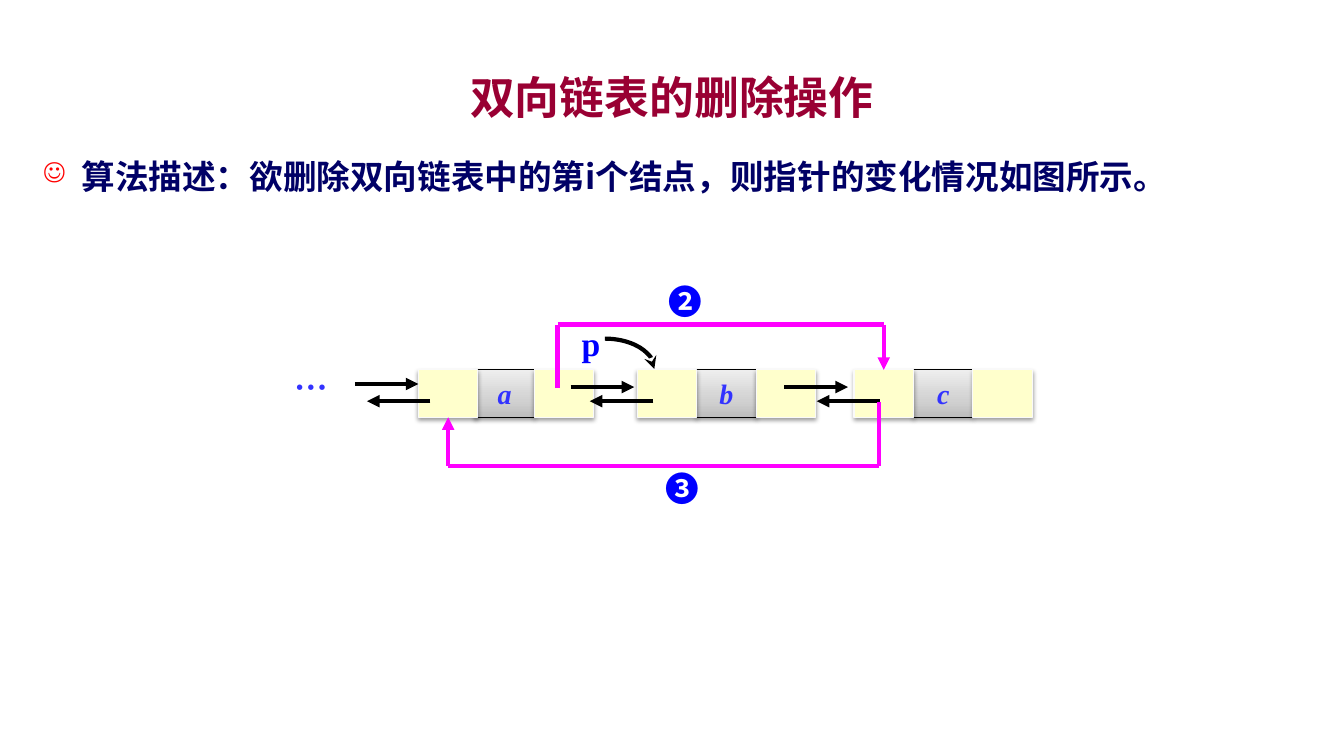
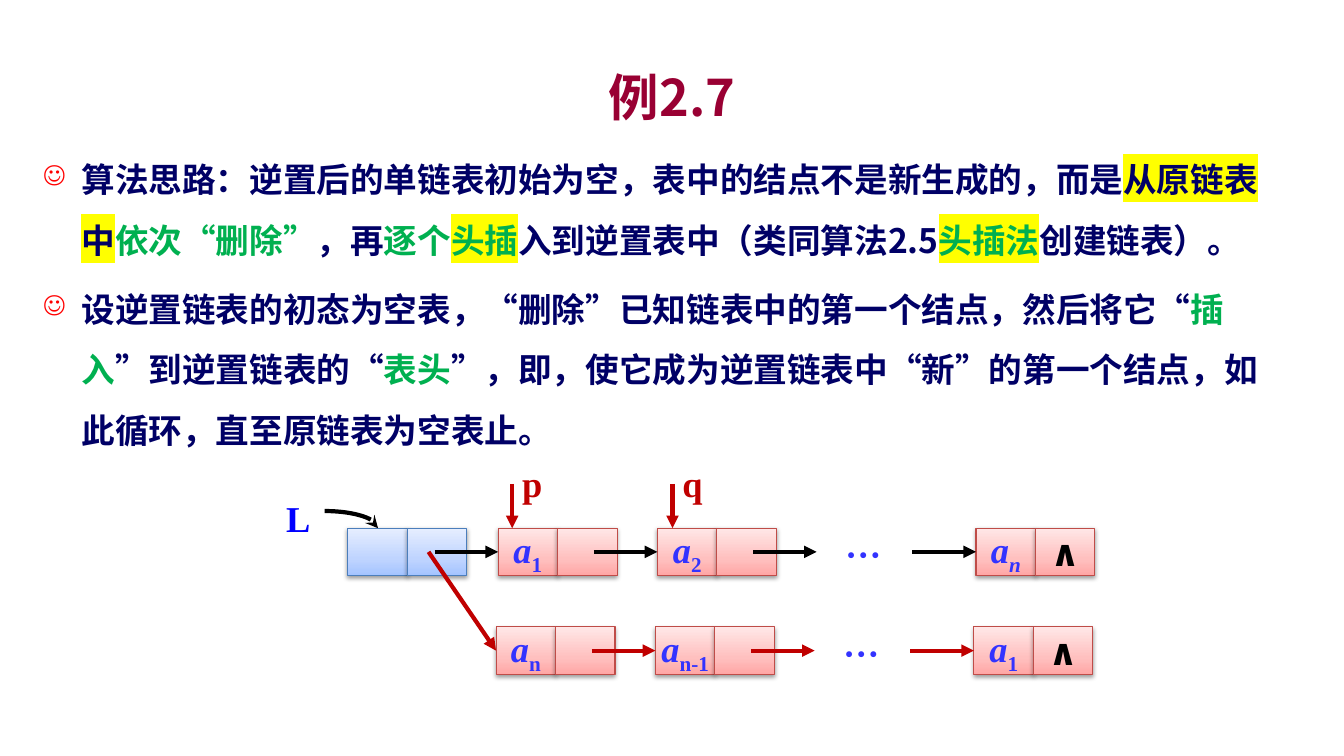
from copy import deepcopy
from lxml.etree import SubElement
from pptx import Presentation
from pptx.dml.color import RGBColor
from pptx.enum.lang import MSO_LANGUAGE_ID
from pptx.enum.shapes import MSO_CONNECTOR, MSO_SHAPE
from pptx.enum.text import MSO_ANCHOR, PP_ALIGN
from pptx.oxml.ns import qn
from pptx.util import Inches, Pt

# Colours
BLACK = RGBColor(0x00, 0x00, 0x00)
WINE = RGBColor(0x99, 0x00, 0x33)
NAVY = RGBColor(0x00, 0x00, 0x66)
BLUE = RGBColor(0x00, 0x00, 0xFF)
IRIS = RGBColor(0x33, 0x33, 0xFF)
RED = RGBColor(0xFF, 0x00, 0x00)
BRICK = RGBColor(0xC0, 0x00, 0x00)
GREEN = RGBColor(0x00, 0xB0, 0x50)
PINK = RGBColor(0xFF, 0x00, 0xFF)
YELLOW = RGBColor(0xFF, 0xFF, 0x00)

# Cell styles: outline, then fill stops from bottom to top
STOPS = (0, 0.35, 1)
CREAM = (RGBColor(0xF9, 0xF9, 0xF9), [RGBColor(0xFF, 0xFF, 0xCC)])
GRAY = (BLACK, [RGBColor(0xBD, 0xBD, 0xBD), RGBColor(0xD1, 0xD1, 0xD1),
                RGBColor(0xEE, 0xEE, 0xEE)])
SKY = (RGBColor(0x4B, 0x7E, 0xBC),
       [RGBColor(0xA4, 0xC4, 0xFF), RGBColor(0xBF, 0xD4, 0xFF),
        RGBColor(0xE6, 0xEE, 0xFF)])
ROSE = (RGBColor(0xBF, 0x4C, 0x48),
        [RGBColor(0xFF, 0xA6, 0xA5), RGBColor(0xFF, 0xC0, 0xBF),
         RGBColor(0xFF, 0xE7, 0xE7)])

# Fonts and measures in inches
HAN = "Noto Sans CJK SC"
SERIF = "Times New Roman"
SANS = "Calibri"
CELL_W, CELL_H = 0.59, 0.47
PITCH = 1.58
REACH = 0.63


def box(left, top, width, height):
    return [Inches(v) for v in (left, top, width, height)]


def write(para, text, size=24, color=NAVY, font=HAN, italic=False,
          base=None, mark=None):
    """Add one bold run to a paragraph."""
    run = para.add_run()
    run.text = text
    face = run.font
    face.size, face.bold, face.italic = Pt(size), True, italic
    face.color.rgb = color
    face.name = font
    if font == HAN:
        face.language_id = MSO_LANGUAGE_ID.SIMPLIFIED_CHINESE
    props = run._r.get_or_add_rPr()
    if base:
        props.set("baseline", str(base * 1000))
    latin = props.find(qn("a:latin"))
    east = deepcopy(latin)
    east.tag = qn("a:ea")
    latin.addnext(east)
    if mark:
        light = props.makeelement(qn("a:highlight"), {})
        SubElement(light, qn("a:srgbClr"), val=str(mark))
        props.find(qn("a:solidFill")).addnext(light)


def title(slide, text, size):
    shape = slide.shapes.title
    shape.left, shape.top, shape.width, shape.height = box(1, 0.58, 11.33, 0.75)
    frame = shape.text_frame
    frame.vertical_anchor = MSO_ANCHOR.MIDDLE
    para = frame.paragraphs[0]
    para.alignment = PP_ALIGN.CENTER
    write(para, text, size=size, color=WINE)


def bullet(para):
    props = para._p.get_or_add_pPr()
    props.set("marL", str(Inches(0.38)))
    props.set("indent", str(-Inches(0.38)))
    tint = SubElement(props, qn("a:buClr"))
    SubElement(tint, qn("a:srgbClr"), val=str(RED))
    SubElement(props, qn("a:buSzPct"), val="80000")
    SubElement(props, qn("a:buChar"), char="☺")


def body(slide, area, paras, space=1.0):
    """Bulleted text; each paragraph is a list of (text, format) runs."""
    frame = slide.shapes.add_textbox(*box(*area)).text_frame
    frame.word_wrap = True
    for num, runs in enumerate(paras):
        para = frame.add_paragraph() if num else frame.paragraphs[0]
        para.line_spacing = space
        para.space_before = Pt(6)
        bullet(para)
        for text, style in runs:
            write(para, text, **style)


def label(slide, text, left, top, width=0.47, align=PP_ALIGN.LEFT, **style):
    frame = slide.shapes.add_textbox(*box(left, top, width, 0.5)).text_frame
    frame.word_wrap = True
    para = frame.paragraphs[0]
    para.alignment = align
    write(para, text, **style)


def dots(slide, left, top, size):
    label(slide, "…", left, top, width=0.63, align=PP_ALIGN.CENTER,
          size=size, color=IRIS)


def shade(shape):
    """Soft shadow straight below the shape."""
    shape.shadow.inherit = False
    glow = SubElement(shape._element.spPr.find(qn("a:effectLst")),
                      qn("a:outerShdw"), blurRad="40000", dist="20000",
                      dir="5400000", rotWithShape="0")
    tint = SubElement(glow, qn("a:srgbClr"), val=str(BLACK))
    SubElement(tint, qn("a:alpha"), val="38000")


def cell(slide, left, top, style):
    shape = slide.shapes.add_shape(MSO_SHAPE.RECTANGLE,
                                   *box(left, top, CELL_W, CELL_H))
    edge, tones = style
    fill = shape.fill
    if len(tones) == 1:
        fill.solid()
        fill.fore_color.rgb = tones[0]
    else:
        fill.gradient()
        fill.gradient_angle = 90
        first = shape._element.spPr.find(".//" + qn("a:gs"))
        first.addnext(deepcopy(first))
        for stop, spot, tone in zip(fill.gradient_stops, STOPS, tones):
            stop.position = spot
            stop.color.rgb = tone
    shape.line.color.rgb = edge
    shape.line.width = Pt(0.75)
    shade(shape)
    frame = shape.text_frame
    frame.word_wrap = False
    frame.vertical_anchor = MSO_ANCHOR.MIDDLE
    frame.paragraphs[0].alignment = PP_ALIGN.CENTER
    return shape


def fill_in(shape, text, **style):
    write(shape.text_frame.paragraphs[0], text, **style)


def stroke(shape, color, tip=None):
    shape.line.color.rgb = color
    shape.line.width = Pt(3)
    if tip:
        SubElement(shape.line._get_or_add_ln(), qn("a:tailEnd"), type=tip)


def line(slide, start, end, color=BLACK, tip="triangle", goal=None, side=1):
    """Straight line, joined to a side of the goal when there is one."""
    link = slide.shapes.add_connector(MSO_CONNECTOR.STRAIGHT,
                                      *[Inches(v) for v in start + end])
    if goal is not None:
        link.end_connect(goal, side)
    stroke(link, color, tip)
    SubElement(link._element.spPr, qn("a:effectLst"))


def route(slide, spots, goal, side):
    """Right-angled path whose last leg is an arrow to the goal."""
    legs = list(zip(spots, spots[1:]))
    for start, end in legs[:-1]:
        line(slide, start, end, PINK, tip=None)
    line(slide, *legs[-1], PINK, goal=goal, side=side)


def curve(slide, left, top, width, height):
    """Quarter arc that bends right and down to an arrowhead."""
    arc = slide.shapes.add_shape(
        MSO_SHAPE.ARC, *box(left - width, top, 2 * width, 2 * height))
    arc.shadow.inherit = False
    arc.fill.background()
    effect = arc._element.spPr.find(qn("a:effectLst"))
    stroke(arc, BLACK, "stealth")
    arc._element.spPr.append(effect)


def chain(slide, left, top, subs, color):
    """Row of list nodes; None stands for the gap. Returns the first cell."""
    mid = top + CELL_H / 2
    first = None
    for num, sub in enumerate(subs):
        near = left + num * PITCH
        data = None
        if sub is None:
            dots(slide, near + 0.15, top, 26)
        else:
            data = cell(slide, near, top, ROSE)
            fill_in(data, "a", size=26, color=IRIS, font=SERIF, italic=True)
            text, slant = sub
            fill_in(data, text, size=26, color=IRIS, font=SERIF,
                    italic=slant, base=-25)
            link = cell(slide, near + CELL_W, top, ROSE)
            first = first or data
        if num:
            line(slide, (near - REACH, mid), (near, mid), color, goal=data)
    fill_in(link, "∧", size=26, color=BLACK, font=SANS)
    return first


def delete_slide(slide):
    title(slide, "双向链表的删除操作", 32)
    body(slide, (0.33, 1.5, 12.5, 0.79), [[
        ("算法描述：欲删除双向链表中的第i个结点，则指针的变化情况如图所示。", {})]])

    # Nodes: back pointer, data, next pointer
    top = 3.67
    backs = []
    for name, back, data in (("a", 4.15, 4.71), ("b", 6.32, 6.91),
                             ("c", 8.47, 9.06)):
        mid = cell(slide, data, top, GRAY)
        fill_in(mid, name, size=20, color=IRIS, font=SERIF, italic=True)
        cell(slide, data + CELL_W, top, CREAM)
        backs.append(cell(slide, back, top, CREAM))

    # Pointers between neighbours
    for left, high in ((3.52, 3.81), (5.66, 3.84), (7.78, 3.84)):
        line(slide, (left, high), (left + REACH, high))
    for right in (4.27, 6.48, 8.73):
        line(slide, (right, 3.98), (right - REACH, 3.98))
    dots(slide, 2.77, 3.59, 24)
    label(slide, "p", 5.67, 3.15, color=BLUE, font=SERIF)
    curve(slide, 6, 3.36, 0.49, 0.3)

    # New pointers
    half = CELL_W / 2
    head, tail = 4.15 + half, 8.47 + half
    route(slide, [(5.53, 3.85), (5.53, 3.22), (tail, 3.22), (tail, top)],
          backs[2], 0)
    route(slide, [(8.72, 3.99), (8.72, 4.62), (head, 4.62),
                  (head, top + CELL_H)], backs[0], 2)
    label(slide, "❷", 6.53, 2.74, width=0.57, color=BLUE)
    label(slide, "❸", 6.5, 4.59, width=0.57, color=BLUE)


def reverse_slide(slide):
    title(slide, "例2.7", 36)
    plain, key = {}, {"color": GREEN}
    body(slide, (0.33, 1.33, 12.56, 3), [
        [("算法思路：逆置后的单链表初始为空，表中的结点不是新生成的，而是", plain),
         ("从原链表中", {"mark": YELLOW}), ("依次“删除”", key), ("，再", plain),
         ("逐个", key), ("头插", {"color": GREEN, "mark": YELLOW}),
         ("入到逆置表中（类同算法2.5", plain),
         ("头插法", {"color": GREEN, "mark": YELLOW}), ("创建链表）。", plain)],
        [("设逆置链表的初态为空表，“删除”已知链表中的第一个结点，然后将它“", plain),
         ("插入", key), ("”到逆置链表的“", plain), ("表头", key),
         ("”，即，使它成为逆置链表中“新”的第一个结点，如此循环，直至原链表为空表止。",
          plain)]], space=1.5)

    # Head node and both chains
    top = 5.24
    mid = top + CELL_H / 2
    for num in range(2):
        cell(slide, 3.45 + num * CELL_W, top, SKY)
    old = chain(slide, 4.94, top,
                [("1", False), ("2", False), None, ("n", True)], BLACK)
    new = chain(slide, 4.92, 6.22,
                [("n", False), ("n-1", False), None, ("1", False)], BRICK)
    line(slide, (4.31, mid), (4.94, mid), goal=old)
    line(slide, (4.25, mid), (4.92, 6.46), BRICK, goal=new)

    # Named pointers
    label(slide, "L", 2.74, 4.87, size=26, color=BLUE, font=SERIF)
    curve(slide, 3.22, 5.07, 0.53, 0.17)
    for name, left in (("p", 5.08), ("q", 6.67)):
        label(slide, name, left, 4.53, size=26, color=BRICK, font=SERIF)
        line(slide, (left, 4.8), (left, top), BRICK)


def main():
    deck = Presentation()
    deck.slide_width, deck.slide_height = Inches(13.33), Inches(7.5)
    for build in (delete_slide, reverse_slide):
        build(deck.slides.add_slide(deck.slide_layouts[5]))
    deck.save("out.pptx")


if __name__ == "__main__":
    main()
